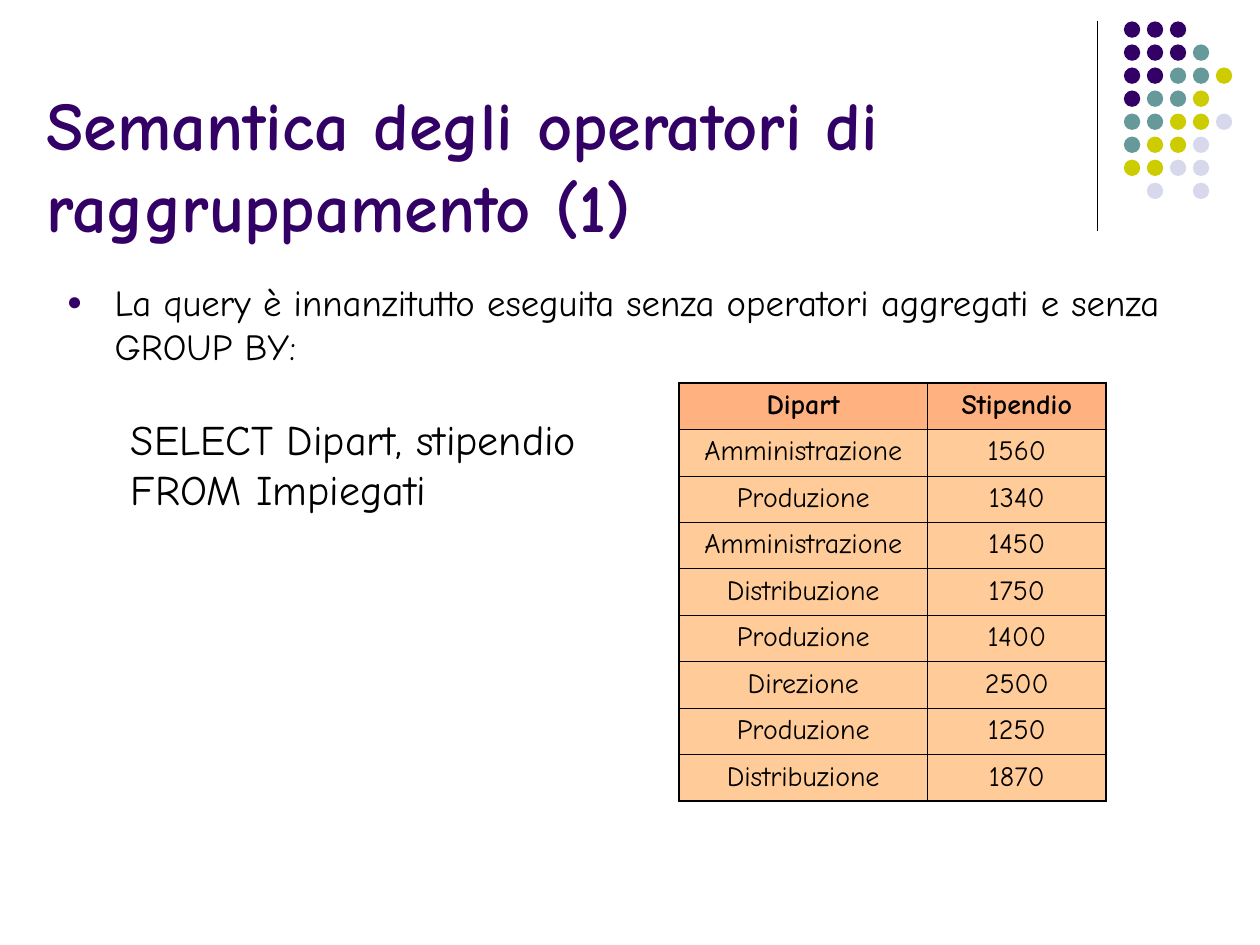
from lxml import etree
from pptx import Presentation
from pptx.dml.color import RGBColor
from pptx.enum import shapes, text
from pptx.oxml import ns
from pptx.util import Inches, Pt

FONT = "Comic Neue"
BLACK = RGBColor(0x00, 0x00, 0x00)
PURPLE = RGBColor(0x33, 0x00, 0x66)
TEAL = RGBColor(0x66, 0x99, 0x99)
LIME = RGBColor(0xCC, 0xCC, 0x00)
LILAC = RGBColor(0xD8, 0xD8, 0xEC)
HEADER_ORANGE = RGBColor(0xFF, 0x66, 0x00)
ROW_ORANGE = RGBColor(0xFF, 0x99, 0x33)

DOT_COLORS = {"P": PURPLE, "T": TEAL, "Y": LIME, "L": LILAC}
DOT_ROWS = ["PPP  ", "PPPT ", "PPTTY", "PTTY ", "TTYYL", "TYYL ", "YYLL ", " L L "]

ROWS = [
    ("Dipart", "Stipendio"),
    ("Amministrazione", "1560"),
    ("Produzione", "1340"),
    ("Amministrazione", "1450"),
    ("Distribuzione", "1750"),
    ("Produzione", "1400"),
    ("Direzione", "2500"),
    ("Produzione", "1250"),
    ("Distribuzione", "1870"),
]


def sub(parent, tag, **attrs):
    return etree.SubElement(parent, ns.qn(tag), attrs)


def add_run(p, words, size, color=BLACK, bold=False):
    r = p.add_run()
    r.text = words
    r.font.name = FONT
    r.font.size = Pt(size)
    r.font.bold = bold
    r.font.color.rgb = color


def place(sp, box):
    sp.left, sp.top, sp.width, sp.height = box


def add_title(slide, box):
    sp = slide.shapes.title
    place(sp, box)
    tf = sp.text_frame
    tf.auto_size = text.MSO_AUTO_SIZE.NONE
    tf.vertical_anchor = text.MSO_ANCHOR.BOTTOM
    p = tf.paragraphs[0]
    p.alignment = text.PP_ALIGN.LEFT
    add_run(p, "Semantica degli operatori di raggruppamento (1)", 39, PURPLE, True)


def add_body(slide, box):
    sp = slide.placeholders[1]
    place(sp, box)
    tf = sp.text_frame
    tf.auto_size = text.MSO_AUTO_SIZE.NONE
    p = tf.paragraphs[0]
    p.space_before = Pt(0)
    pPr = p._p.get_or_add_pPr()
    pPr.set("marL", str(Inches(0.38)))
    pPr.set("indent", str(-Inches(0.38)))
    sub(sub(pPr, "a:buClr"), "a:srgbClr", val=str(PURPLE))
    sub(pPr, "a:buSzPct", val="70000")
    sub(pPr, "a:buChar", char="●")
    add_run(p, "La query è innanzitutto eseguita senza operatori aggregati "
               "e senza GROUP BY:", 21)


def add_query(slide, box):
    tf = slide.shapes.add_textbox(*box).text_frame
    tf.word_wrap = False
    tf.auto_size = text.MSO_AUTO_SIZE.SHAPE_TO_FIT_TEXT
    add_run(tf.paragraphs[0], "SELECT Dipart, stipendio", 24)
    add_run(tf.add_paragraph(), "FROM Impiegati", 24)


def add_dots(slide, box):
    left, top, width, height = box
    size = Inches(0.13)
    step_x = (width - size) / (len(DOT_ROWS[0]) - 1)
    step_y = (height - size) / (len(DOT_ROWS) - 1)
    group = slide.shapes.add_group_shape()
    for i, row in enumerate(DOT_ROWS):
        for j, key in enumerate(row):
            if key == " ":
                continue
            sp = group.shapes.add_shape(
                shapes.MSO_SHAPE.OVAL,
                round(left + j * step_x), round(top + i * step_y), size, size)
            sp.shadow.inherit = False
            sp.fill.solid()
            sp.fill.fore_color.rgb = DOT_COLORS[key]
            sp.line.fill.background()


def add_rule(slide, x, top, bottom):
    line = slide.shapes.add_connector(shapes.MSO_CONNECTOR.STRAIGHT, x, top, x, bottom)
    line.line.color.rgb = BLACK
    line.line.width = Pt(0.75)
    sub(line._element.spPr, "a:effectLst")


def style_cell(cell, color, outer_sides):
    """Half-transparent fill, with thicker borders on the outer sides."""
    cell.fill.solid()
    cell.fill.fore_color.rgb = color
    tcPr = cell._tc.get_or_add_tcPr()
    sub(tcPr.find(".//" + ns.qn("a:srgbClr")), "a:alpha", val="50000")
    for i, side in enumerate("LRTB"):
        width = Pt(1.08 if side in outer_sides else 0.45)
        ln = etree.Element(ns.qn("a:ln" + side), w=str(width))
        sub(sub(ln, "a:solidFill"), "a:srgbClr", val=str(BLACK))
        tcPr.insert(i, ln)


def add_salary_table(slide, box):
    n_rows, n_cols = len(ROWS), len(ROWS[0])
    table = slide.shapes.add_table(n_rows, n_cols, *box).table
    table.first_row = table.horz_banding = False
    table.columns[0].width = Inches(1.97)
    table.columns[1].width = box[2] - Inches(1.97)
    for i, row in enumerate(ROWS):
        for j, words in enumerate(row):
            outer = {"L": j == 0, "R": j == n_cols - 1, "T": i == 0, "B": i == n_rows - 1}
            cell = table.cell(i, j)
            style_cell(cell, ROW_ORANGE if i else HEADER_ORANGE,
                       [side for side in outer if outer[side]])
            p = cell.text_frame.paragraphs[0]
            p.alignment = text.PP_ALIGN.CENTER
            add_run(p, words, 16, bold=i == 0)


def inches(*values):
    return [Inches(v) for v in values]


def main():
    prs = Presentation()
    prs.slide_width, prs.slide_height = inches(10, 7.5)
    slide = prs.slides.add_slide(prs.slide_layouts[1])
    add_rule(slide, *inches(8.71, 0.17, 1.83))
    add_dots(slide, inches(8.92, 0.17, 0.86, 1.41))
    add_title(slide, inches(0.27, 0.5, 9.53, 1.5))
    add_body(slide, inches(0.43, 2.17, 9, 3.66))
    add_query(slide, inches(0.94, 3.23, 3.74, 0.9))
    add_salary_table(slide, inches(5.39, 3.04, 3.39, 3.32))
    prs.save("out.pptx")


if __name__ == "__main__":
    main()
